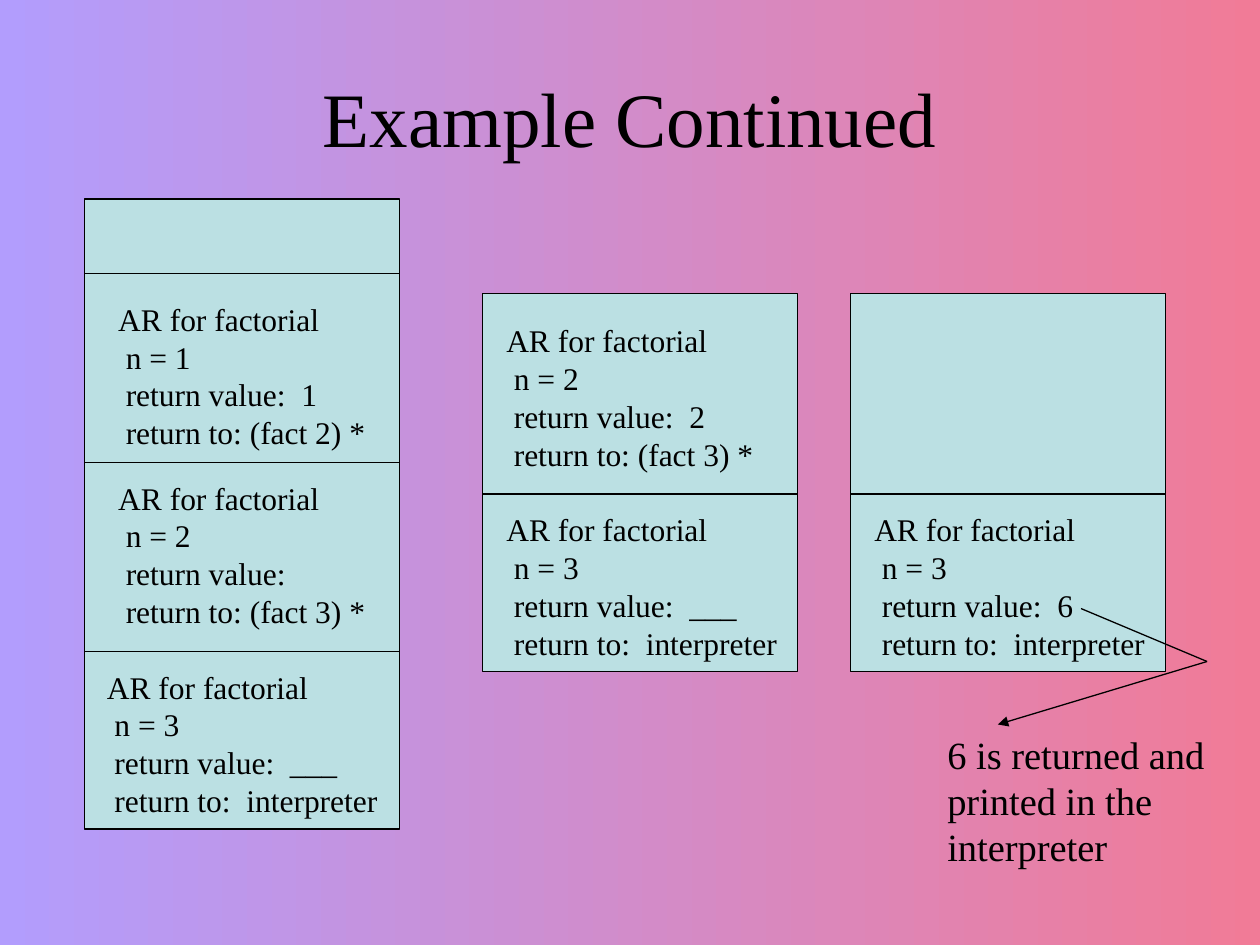
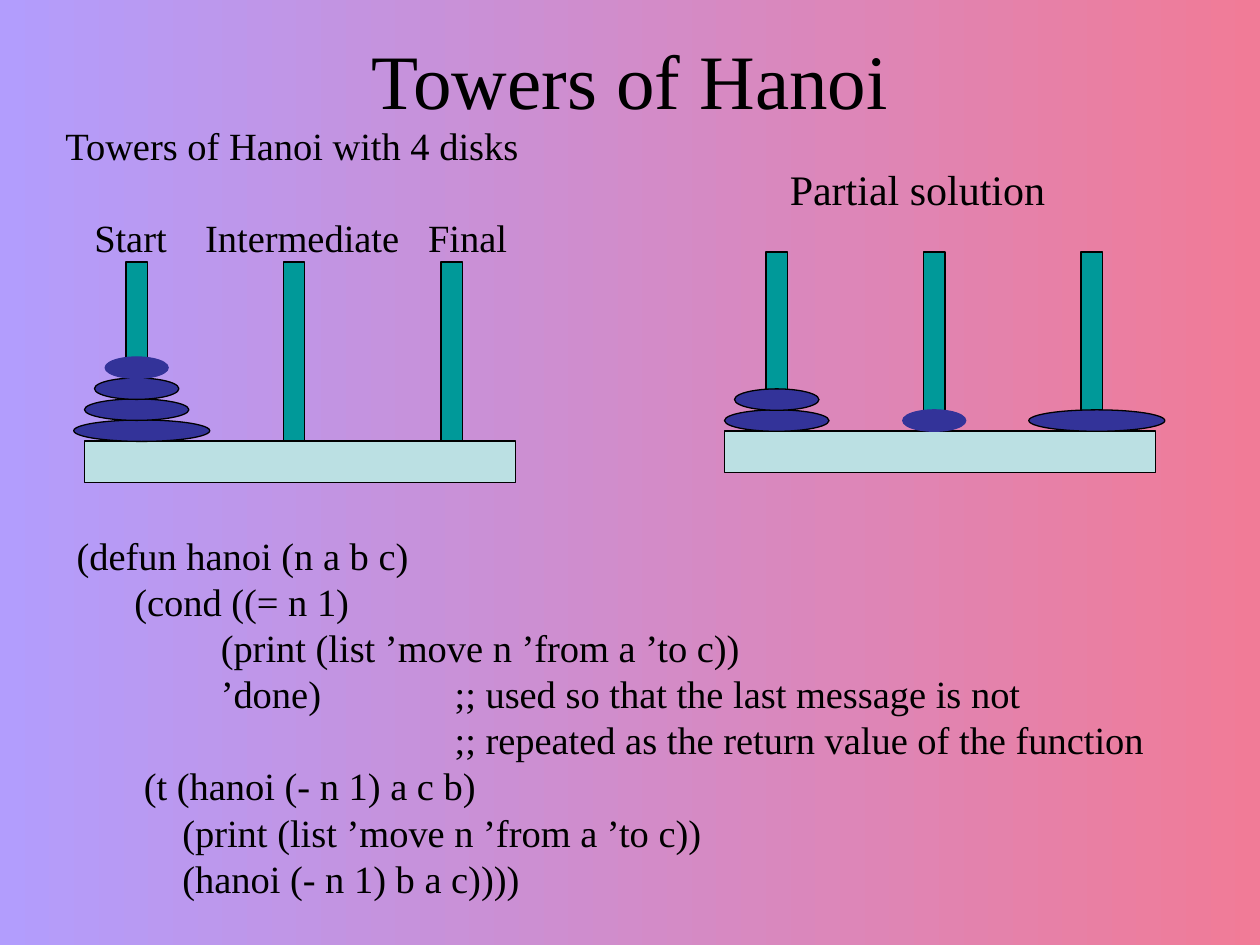
from lxml import etree
from pptx import Presentation
from pptx.dml.color import RGBColor
from pptx.enum.shapes import MSO_CONNECTOR, MSO_SHAPE
from pptx.enum.text import MSO_ANCHOR, PP_ALIGN
from pptx.oxml.ns import qn
from pptx.util import Inches, Pt

RECTANGLE = MSO_SHAPE.RECTANGLE
OVAL = MSO_SHAPE.OVAL
STRAIGHT = MSO_CONNECTOR.STRAIGHT
TOP = MSO_ANCHOR.TOP
MIDDLE = MSO_ANCHOR.MIDDLE
LEFT = PP_ALIGN.LEFT
CENTER = PP_ALIGN.CENTER

FONT = "Times New Roman"
BLACK = RGBColor(0x00, 0x00, 0x00)
PINK = RGBColor(0xF1, 0x7B, 0x97)
LAVENDER = RGBColor(0xB2, 0x9D, 0xFD)
PALE_TEAL = RGBColor(0xBB, 0xE0, 0xE3)
TEAL = RGBColor(0x00, 0x99, 0x99)
INDIGO = RGBColor(0x33, 0x33, 0x99)

INTERPRETER = "interpreter"
STACKS = [
    {"left": 0.67, "top": 1.58, "height": 5, "dividers": [2.17, 3.67, 5.17],
     "records": [(0.84, 2.33, 1, " 1", "(fact 2) *"),
                 (0.84, 3.75, 2, "", "(fact 3) *"),
                 (0.75, 5.25, 3, " ___", " " + INTERPRETER)]},
    {"left": 3.83, "top": 2.33, "height": 3, "dividers": [3.92],
     "records": [(3.92, 2.5, 2, " 2", "(fact 3) *"),
                 (3.92, 4, 3, " ___", " " + INTERPRETER)]},
    {"left": 6.75, "top": 2.33, "height": 3, "dividers": [3.92],
     "records": [(6.84, 4, 3, " 6", " " + INTERPRETER)]},
]
STACK_WIDTH = 2.5
RETURN_NOTE = ["6 is returned and", "printed in the", "interpreter"]
RETURN_VALUE, RETURN_BEND, NOTE_TIP = (8.58, 4.83), (9.58, 5.25), (7.92, 5.75)

DISK_WIDTHS = {1: 0.5, 2: 0.67, 3: 0.83, 4: 1.08}
LARGEST_DISK = 4
LARGEST_DISK_SHIFT = 0.04
DISK_HEIGHT = 0.17
DISK_STEP = 1 / 6
PEG_WIDTH, PEG_HEIGHT = 0.17, 1.42
FIRST_PEG, PEG_STEP = 0.33, 1.25
BASE_WIDTH, BASE_HEIGHT = 3.42, 0.33
TOWERS = [
    {"left": 5.75, "base_top": 3.42, "pegs": [[3, 2], [1], [4]]},
    {"left": 0.67, "base_top": 3.5, "pegs": [[4, 3, 2, 1], [], []]},
]
PEG_LABELS = "\tStart\tIntermediate\tFinal"
PEG_LABEL_TABS = [0.23, 1.11, 2.88]
HANOI_CODE = [
    "(defun hanoi (n a b c)",
    "      (cond ((= n 1)",
    "               (print (list ’move n ’from a ’to c))",
    "               ’done)\t\t;; used so that the last message is not",
    "\t\t\t;; repeated as the return value of the function",
    "       (t (hanoi (- n 1) a c b)",
    "           (print (list ’move n ’from a ’to c))",
    "           (hanoi (- n 1) b a c))))",
]
CODE_TABS = [1, 2, 3]


def place(shape, left, top, width, height):
    shape.left, shape.top = Inches(left), Inches(top)
    shape.width, shape.height = Inches(width), Inches(height)


def write_text(shape, lines, size=22, align=LEFT, anchor=TOP, wrap=False,
               indent=0, tabs=(), space_before=0):
    frame = shape.text_frame
    frame.word_wrap = wrap
    frame.vertical_anchor = anchor
    for index, line in enumerate(lines):
        paragraph = frame.paragraphs[0] if index == 0 else frame.add_paragraph()
        properties = paragraph._p.get_or_add_pPr()
        if index:
            properties.set("marL", str(Inches(indent)))
            paragraph.space_before = Pt(space_before)
            if tabs:
                tab_list = etree.SubElement(properties, qn("a:tabLst"))
                for position in tabs:
                    etree.SubElement(tab_list, qn("a:tab"),
                                     pos=str(Inches(position)), algn="l")
        paragraph.text = line
        paragraph.alignment = align
        paragraph.line_spacing = Pt(1.2 * size)
        paragraph.font.name = FONT
        paragraph.font.size = Pt(size)
        paragraph.font.color.rgb = BLACK


def add_text(slide, lines, left, top, width, height, **text_format):
    box = slide.shapes.add_textbox(
        Inches(left), Inches(top), Inches(width), Inches(height))
    write_text(box, lines, **text_format)


def add_block(shapes, kind, left, top, width, height, fill, line=BLACK):
    shape = shapes.add_shape(
        kind, Inches(left), Inches(top), Inches(width), Inches(height))
    shape.shadow.inherit = False
    shape.fill.solid()
    shape.fill.fore_color.rgb = fill
    shape.line.color.rgb = line
    shape.line.width = Pt(0.75)


def add_line(slide, start, end, arrow=False):
    connector = slide.shapes.add_connector(
        STRAIGHT, *(Inches(value) for value in (*start, *end)))
    connector.line.color.rgb = BLACK
    connector.line.width = Pt(0.75)
    if arrow:
        etree.SubElement(connector.line._get_or_add_ln(), qn("a:tailEnd"),
                         type="triangle")
    etree.SubElement(connector._element.spPr, qn("a:effectLst"))


def set_background(master):
    fill = master.background.fill
    fill.gradient()
    fill.gradient_angle = 180
    for stop, position, color in zip(fill.gradient_stops, (0, 1), (PINK, LAVENDER)):
        stop.position = position
        stop.color.rgb = color


def add_slide(presentation, title, title_top):
    slide = presentation.slides.add_slide(presentation.slide_layouts[5])
    place(slide.shapes.title, 0.5, title_top, 9, 1.25)
    write_text(slide.shapes.title, [title], size=44, align=CENTER,
               anchor=MIDDLE, wrap=True)
    return slide


def add_stack(slide, stack):
    left = stack["left"]
    add_block(slide.shapes, RECTANGLE, left, stack["top"], STACK_WIDTH,
              stack["height"], PALE_TEAL)
    for y in stack["dividers"]:
        add_line(slide, (left, y), (left + STACK_WIDTH, y))
    for record_left, top, n, value, destination in stack["records"]:
        lines = ["AR for factorial", f"n = {n}",
                 f"return value: {value}".rstrip(), f"return to: {destination}"]
        width = 2.35 if INTERPRETER in destination else 2.16
        add_text(slide, lines, record_left, top, width, 1.3, size=18, indent=0.06)


def add_tower(slide, tower):
    shapes = slide.shapes.add_group_shape().shapes
    left, base_top = tower["left"], tower["base_top"]
    add_block(shapes, RECTANGLE, left, base_top, BASE_WIDTH, BASE_HEIGHT, PALE_TEAL)
    for index, disks in enumerate(tower["pegs"]):
        peg_left = left + FIRST_PEG + index * PEG_STEP
        add_block(shapes, RECTANGLE, peg_left, base_top - PEG_HEIGHT,
                  PEG_WIDTH, PEG_HEIGHT, TEAL)
        for level, disk in enumerate(disks, start=1):
            width = DISK_WIDTHS[disk]
            shift = LARGEST_DISK_SHIFT if disk == LARGEST_DISK else 0
            add_block(shapes, OVAL, peg_left + (PEG_WIDTH - width) / 2 + shift,
                      base_top - level * DISK_STEP, width, DISK_HEIGHT, INDIGO,
                      line=INDIGO if disk == 1 else BLACK)


def build_example(presentation):
    slide = add_slide(presentation, "Example Continued", 0.3)
    for stack in STACKS:
        add_stack(slide, stack)
    add_line(slide, RETURN_BEND, RETURN_VALUE)
    add_line(slide, RETURN_BEND, NOTE_TIP, arrow=True)
    add_text(slide, RETURN_NOTE, 7.42, 5.75, 2.24, 1.2)


def build_hanoi(presentation):
    slide = add_slide(presentation, "Towers of Hanoi", 0)
    add_text(slide, HANOI_CODE, 0.51, 4.17, 8.9, 3.04, wrap=True, tabs=CODE_TABS)
    for tower in TOWERS:
        add_tower(slide, tower)
    add_text(slide, ["Partial solution"], 6.17, 1.25, 2.23, 0.5, size=24)
    add_text(slide, ["Towers of Hanoi with 4 disks", PEG_LABELS],
             0.42, 0.92, 4, 1.2, wrap=True, tabs=PEG_LABEL_TABS,
             space_before=26.4)


def main():
    presentation = Presentation()
    presentation.slide_width = Inches(10)
    presentation.slide_height = Inches(7.5)
    set_background(presentation.slide_master)
    build_example(presentation)
    build_hanoi(presentation)
    presentation.save("out.pptx")


if __name__ == "__main__":
    main()
